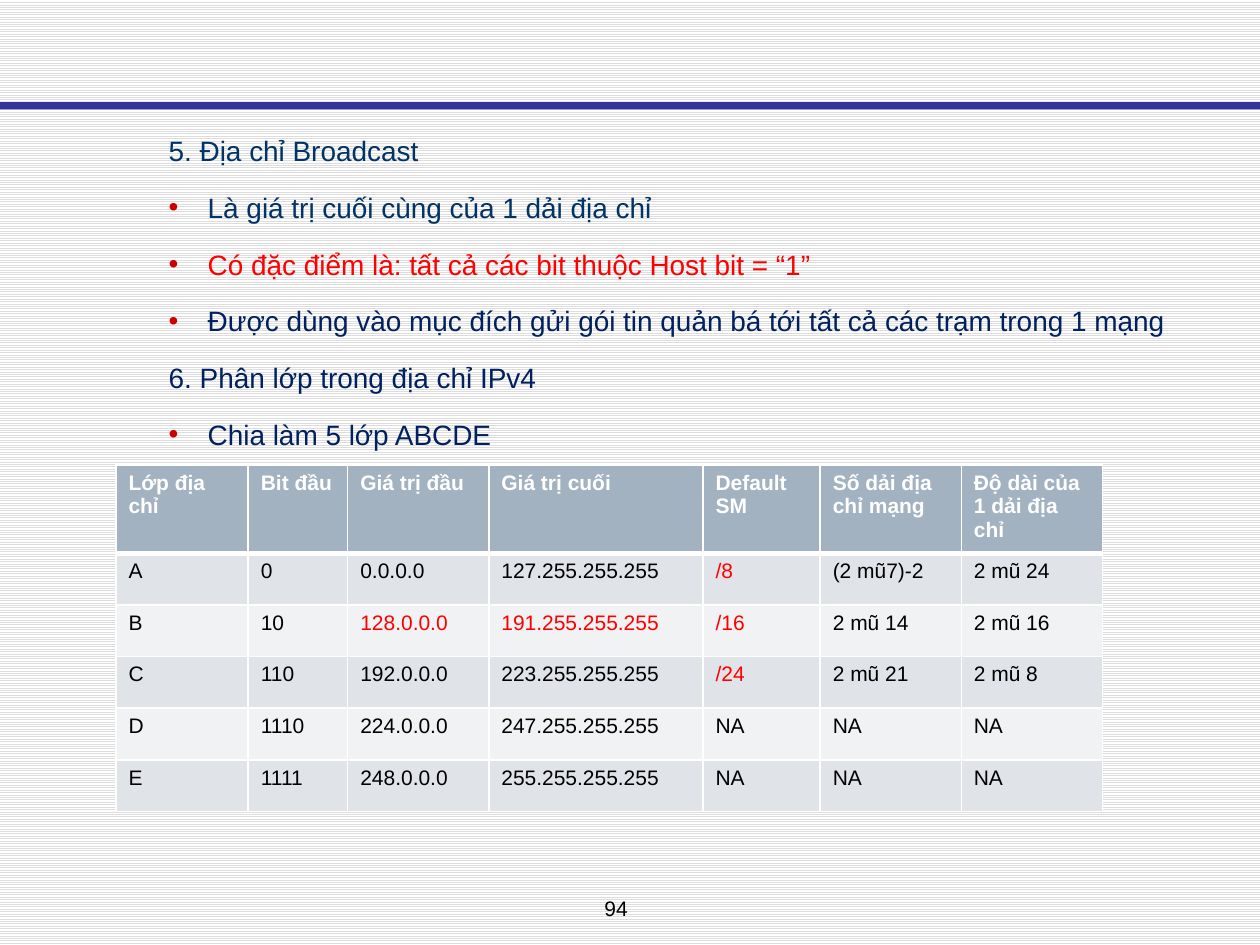
"""Build the slide on broadcast addresses and IPv4 address classes."""
from lxml import etree
from pptx import Presentation
from pptx import util as u
from pptx.dml.color import RGBColor
from pptx.enum import dml, shapes, text
from pptx.oxml.ns import qn

HUES = {
    "white": "FFFFFF", "black": "000000", "stripe": "DDDDDD", "bar": "333399",
    "teal": "003366", "navy": "002060", "red": "FF0000", "dot": "CC0000",
    "head": "A3B2C1", "odd": "E0E4E9", "even": "F0F2F4",
}


def style(para, size, hue, bold=False):
    font = para.font
    font.name, font.size, font.bold = "Arial", u.Pt(size), bold
    font.color.rgb = RGBColor.from_string(HUES[hue])


def edge(cell, side, width):
    line = etree.SubElement(cell._tc.get_or_add_tcPr(), qn(f"a:ln{side}"), w=str(u.Pt(width)))
    fill = etree.SubElement(line, qn("a:solidFill"))
    etree.SubElement(fill, qn("a:srgbClr"), val=HUES["white"])


deck = Presentation()
deck.slide_width, deck.slide_height = u.Inches(10), u.Inches(7.5)
slide = deck.slides.add_slide(deck.slide_layouts[6])

back = slide.background.fill
back.patterned()
back.pattern = dml.MSO_PATTERN.LIGHT_HORIZONTAL
back.fore_color.rgb = RGBColor.from_string(HUES["stripe"])
back.back_color.rgb = RGBColor.from_string(HUES["white"])

bar = slide.shapes.add_shape(
    shapes.MSO_SHAPE.RECTANGLE, 0, u.Inches(0.81), u.Inches(10), u.Inches(0.06))
bar.shadow.inherit = False
bar.fill.solid()
bar.fill.fore_color.rgb = RGBColor.from_string(HUES["bar"])
bar.line.fill.background()

page = slide.shapes.add_textbox(
    u.Inches(4.08), u.Inches(7.06), u.Inches(1.62), u.Inches(0.3)).text_frame
page.word_wrap = True
page.text = "94"
page.paragraphs[0].alignment = text.PP_ALIGN.CENTER
style(page.paragraphs[0], 12, "black")

POINTS = [
    ("5. Địa chỉ Broadcast", "teal", False),
    ("Là giá trị cuối cùng của 1 dải địa chỉ", "teal", True),
    ("Có đặc điểm là: tất cả các bit thuộc Host bit = “1”", "red", True),
    ("Được dùng vào mục đích gửi gói tin quản bá tới tất cả các trạm trong 1 mạng", "navy", True),
    ("6. Phân lớp trong địa chỉ IPv4", "navy", False),
    ("Chia làm 5 lớp ABCDE", "navy", True),
]
body = slide.shapes.add_textbox(
    u.Inches(1.24), u.Inches(0.92), u.Inches(8.51), u.Inches(5.5)).text_frame
body.word_wrap = True
for i, (words, hue, dotted) in enumerate(POINTS):
    para = body.add_paragraph() if i else body.paragraphs[0]
    para.text = words
    para.line_spacing = 1.35
    if i:
        para.space_before = u.Pt(6.5)
    if dotted:
        props = para._p.get_or_add_pPr()
        props.set("marL", str(u.Inches(0.31)))
        props.set("indent", str(-u.Inches(0.31)))
        tint = etree.SubElement(props, qn("a:buClr"))
        etree.SubElement(tint, qn("a:srgbClr"), val=HUES["dot"])
        etree.SubElement(props, qn("a:buFont"), typeface="Arial")
        etree.SubElement(props, qn("a:buChar"), char="•")
    style(para, 16, hue)

ROWS = [
    ["Lớp địa chỉ", "Bit đầu", "Giá trị đầu", "Giá trị cuối", "Default SM",
     "Số dải địa chỉ mạng", "Độ dài của 1 dải địa chỉ"],
    ["A", "0", "0.0.0.0", "127.255.255.255", "/8", "(2 mũ7)-2", "2 mũ 24"],
    ["B", "10", "128.0.0.0", "191.255.255.255", "/16", "2 mũ 14", "2 mũ 16"],
    ["C", "110", "192.0.0.0", "223.255.255.255", "/24", "2 mũ 21", "2 mũ 8"],
    ["D", "1110", "224.0.0.0", "247.255.255.255", "NA", "NA", "NA"],
    ["E", "1111", "248.0.0.0", "255.255.255.255", "NA", "NA", "NA"],
]
REDS = {"/8", "/16", "/24", "128.0.0.0", "191.255.255.255"}
WIDTHS = [1.05, 0.79, 1.12, 1.7, 0.93, 1.12, 1.12]
grid = slide.shapes.add_table(
    len(ROWS), len(WIDTHS), u.Inches(0.92), u.Inches(3.69), u.Inches(7.83), u.Inches(2.73)).table
for col, width in zip(grid.columns, WIDTHS):
    col.width = u.Inches(width)
for r, row in enumerate(ROWS):
    grid.rows[r].height = u.Inches(0.41 if r else 0.68)
    for c, words in enumerate(row):
        cell = grid.cell(r, c)
        cell.text = words
        for side in "LRTB":
            edge(cell, side, 3 if (r, side) in {(0, "B"), (1, "T")} else 1)
        cell.fill.solid()
        shade = "head" if r == 0 else "odd" if r % 2 else "even"
        cell.fill.fore_color.rgb = RGBColor.from_string(HUES[shade])
        hue = "white" if r == 0 else "red" if words in REDS else "black"
        style(cell.text_frame.paragraphs[0], 12, hue, r == 0)

deck.save("out.pptx")
